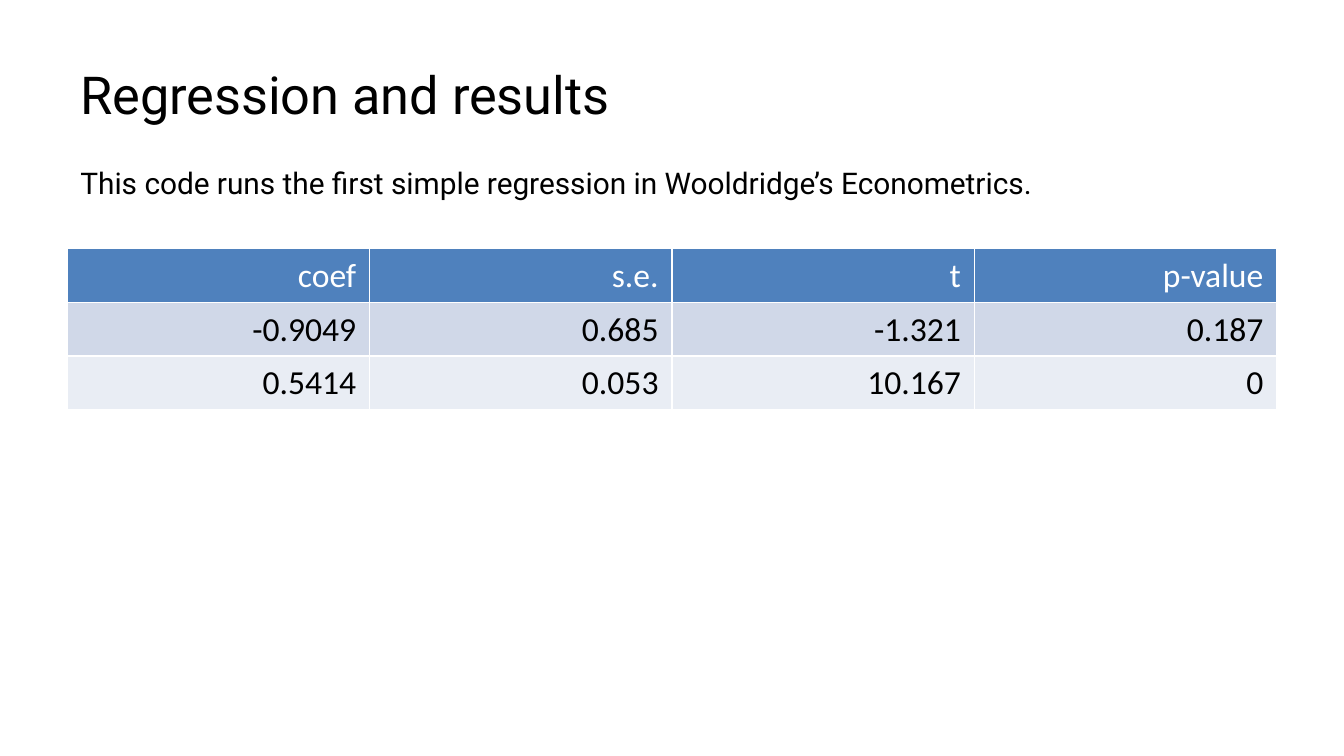
from pptx import Presentation
from pptx.dml.color import RGBColor
from pptx.enum.text import MSO_ANCHOR, PP_ALIGN
from pptx.util import Inches, Pt

LEFT, WIDTH = Inches(0.5), Inches(9)
BLACK, WHITE = "000000", "FFFFFF"
HEADER_FILL = "4F81BD"
BAND_FILLS = ["D0D8E8", "E9EDF4"]

RESULTS = [
    ["coef", "s.e.", "t", "p-value"],
    ["-0.9049", "0.685", "-1.321", "0.187"],
    ["0.5414", "0.053", "10.167", "0"],
]


def rgb(hex_color):
    return RGBColor.from_string(hex_color)


def set_font(paragraph, name, size, color):
    paragraph.font.name = name
    paragraph.font.size = Pt(size)
    paragraph.font.bold = False
    paragraph.font.color.rgb = rgb(color)


presentation = Presentation()
presentation.slide_width = Inches(10)
presentation.slide_height = Inches(10) * 9 // 16
slide = presentation.slides.add_slide(presentation.slide_layouts[6])

# Title and introduction
for text, top, height, size, anchor in [
    ("Regression and results", 0.23, 0.94, 28, MSO_ANCHOR.MIDDLE),
    ("This code runs the first simple regression in Wooldridge’s Econometrics.",
     1.18, 0.66, 16, MSO_ANCHOR.TOP),
]:
    frame = slide.shapes.add_textbox(LEFT, Inches(top), WIDTH, Inches(height)).text_frame
    frame.word_wrap = True
    frame.vertical_anchor = anchor
    frame.text = text
    set_font(frame.paragraphs[0], "Roboto", size, BLACK)

# Regression results; the default table style draws the white rules
results = slide.shapes.add_table(
    len(RESULTS), len(RESULTS[0]), LEFT, Inches(1.85), WIDTH, Inches(3.26)
).table
for row, values in enumerate(RESULTS):
    results.rows[row].height = Inches(0)  # rows grow to fit their text
    is_header = row == 0
    fill = HEADER_FILL if is_header else BAND_FILLS[(row - 1) % 2]
    for column, value in enumerate(values):
        cell = results.cell(row, column)
        cell.fill.solid()
        cell.fill.fore_color.rgb = rgb(fill)
        cell.text = value
        paragraph = cell.text_frame.paragraphs[0]
        paragraph.alignment = PP_ALIGN.RIGHT
        set_font(paragraph, "Calibri", 18, WHITE if is_header else BLACK)

presentation.save("out.pptx")
